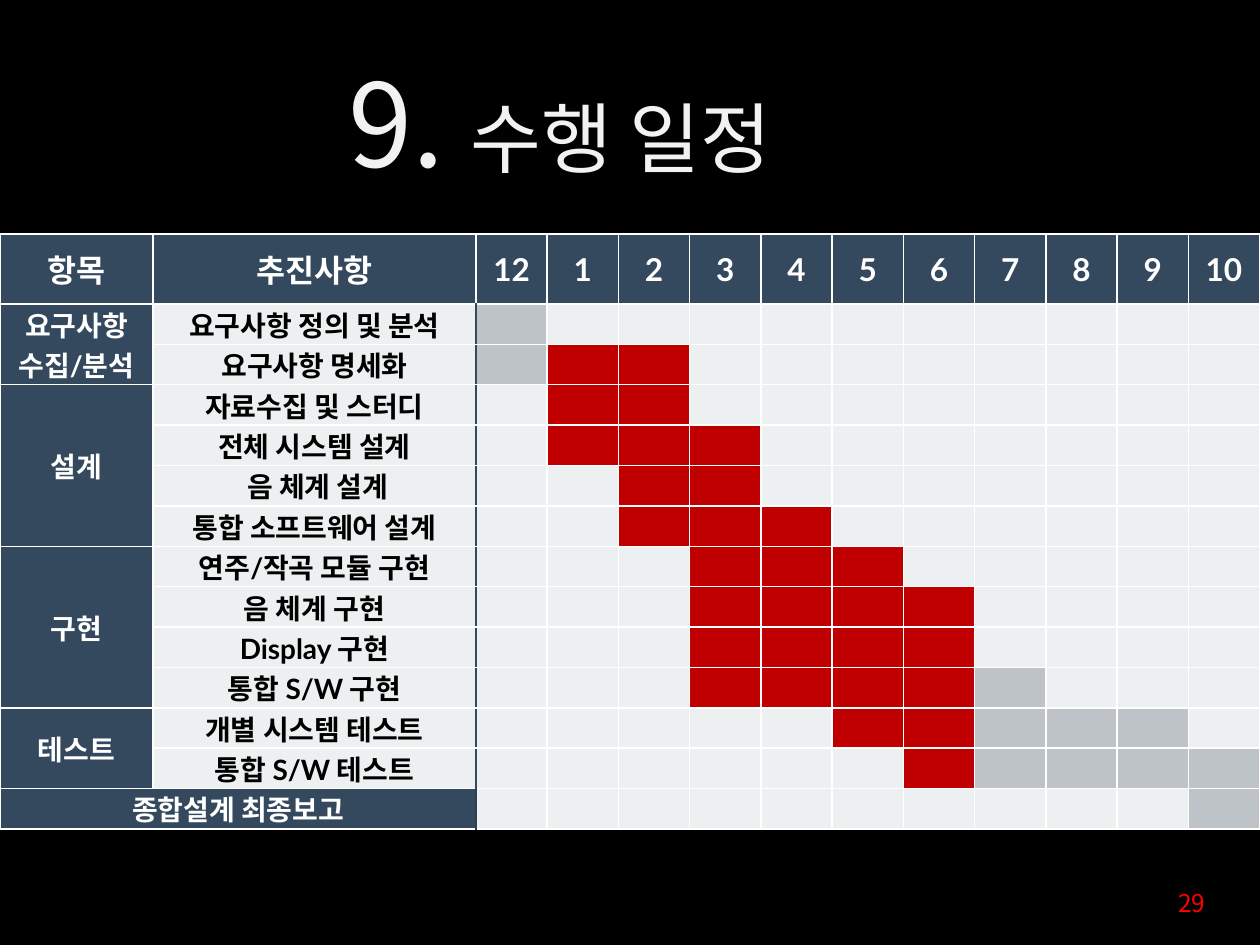
from dataclasses import dataclass

from lxml import etree
from pptx import Presentation
from pptx.dml.color import RGBColor
from pptx.enum.text import MSO_ANCHOR, MSO_AUTO_SIZE, PP_ALIGN
from pptx.oxml.ns import qn
from pptx.util import Emu, Pt

PX = 914400 / 126
TITLE_ONLY = 5
CENTER, RIGHT, LEFT = PP_ALIGN.CENTER, PP_ALIGN.RIGHT, PP_ALIGN.LEFT
TOP, MIDDLE = MSO_ANCHOR.TOP, MSO_ANCHOR.MIDDLE
NO_FIT = MSO_AUTO_SIZE.NONE


@dataclass(frozen=True)
class Theme:
    korean: str = "Noto Sans CJK KR"
    latin: str = "Lato"
    background: str = "000000"
    title: str = "F2F2F2"
    white: str = "FFFFFF"
    black: str = "000000"
    navy: str = "34495E"
    deep_navy: str = "2C3E50"
    pale: str = "ECF0F1"
    grey: str = "BDC3C7"
    red: str = "C00000"
    page: str = "FF0000"
    number_size: int = 66
    title_size: int = 44
    header_size: int = 18
    body_size: int = 16
    page_size: int = 14


THEME = Theme()
MONTHS = ["12", *map(str, range(1, 11))]
# One letter per month: g = grey, r = red, . = free
FILLS = {"g": THEME.grey, "r": THEME.red, ".": THEME.pale}
PHASES = [
    ("요구사항\n수집/분석", [("요구사항 정의 및 분석", "g.........."),
                        ("요구사항 명세화", "grr........")]),
    ("설계", [("자료수집 및 스터디", ".rr........"),
            ("전체 시스템 설계", ".rrr......."),
            (" 음 체계 설계", "..rr......."),
            ("통합 소프트웨어 설계", "..rrr......")]),
    ("구현", [("연주/작곡 모듈 구현", "...rrr....."),
            ("음 체계 구현", "...rrrr...."),
            ("Display 구현", "...rrrr...."),
            ("통합 S/W 구현", "...rrrrg...")]),
    ("테스트", [("개별 시스템 테스트", ".....rrggg."),
             ("통합 S/W 테스트", "......rgggg")]),
]
REPORT = ("종합설계 최종보고", "..........g")


def px(length):
    return Emu(round(length * PX))


def set_values(target, values):
    for key, value in values.items():
        setattr(target, key, value)


def add_run(paragraph, text, size, color, latin=THEME.korean, bold=False):
    run = paragraph.add_run()
    run.text = text
    set_values(run.font, {"size": Pt(size), "bold": bold, "name": latin})
    run.font.color.rgb = RGBColor.from_string(color)
    east_asian = etree.SubElement(run.font._element, qn("a:ea"))
    east_asian.set("typeface", THEME.korean)


def set_border(cell, **sides):
    """Draw the cell's four sides; each side given is (colour, points)."""
    properties = cell._tc.get_or_add_tcPr()
    for index, side in enumerate(("left", "top", "right", "bottom")):
        color, points = sides.get(side, (THEME.white, 1))
        line = etree.Element(qn(f"a:ln{side[0].upper()}"), w=str(Pt(points)))
        fill = etree.SubElement(line, qn("a:solidFill"))
        etree.SubElement(fill, qn("a:srgbClr"), val=color)
        properties.insert(index, line)


def style_cell(cell, fill, text="", size=THEME.body_size, color=THEME.white,
               latin=THEME.latin, **sides):
    set_values(cell, {"margin_left": px(1), "margin_right": px(1), "margin_top": 0,
                      "margin_bottom": 0, "vertical_anchor": MIDDLE})
    cell.fill.solid()
    cell.fill.fore_color.rgb = RGBColor.from_string(fill)
    set_border(cell, **sides)
    if not text:
        return
    for index, line in enumerate(text.split("\n")):
        frame = cell.text_frame
        paragraph = frame.add_paragraph() if index else frame.paragraphs[0]
        paragraph.alignment = CENTER
        add_run(paragraph, line, size, color, latin, bold=True)


def add_title(slide, left, top, width, height):
    title = slide.shapes.title
    set_values(title, {"left": px(left), "top": px(top),
                       "width": px(width), "height": px(height)})
    set_values(title.text_frame, {"word_wrap": False, "auto_size": NO_FIT,
                                  "vertical_anchor": MIDDLE})
    paragraph = title.text_frame.paragraphs[0]
    paragraph.alignment = LEFT
    add_run(paragraph, "9. ", THEME.number_size, THEME.title)
    add_run(paragraph, "수행 일정", THEME.title_size, THEME.title)


def add_month_cells(table, row, plan, **first_sides):
    for month, mark in enumerate(plan):
        sides = dict(first_sides) if month == 0 else {}
        if row == 1:
            sides["top"] = (THEME.white, 1.5)
        style_cell(table.cell(row, month + 2), FILLS[mark], **sides)


def add_schedule(slide, left, top, width, height):
    phase_width, task_width, header_height = 153, 323, 70
    task_count = sum(len(tasks) for _, tasks in PHASES)
    frame = slide.shapes.add_table(task_count + 2, len(MONTHS) + 2,
                                   px(left), px(top), px(width), px(height))
    table = frame.table
    set_values(table, {"first_row": False, "horz_banding": False})

    # Column and row sizes
    month_width = (width - phase_width - task_width) / len(MONTHS)
    for column, size in zip(table.columns,
                            [phase_width, task_width] + [month_width] * len(MONTHS)):
        column.width = px(size)
    row_height = (height - header_height) / (task_count + 1)
    for row, size in zip(table.rows, [header_height] + [row_height] * (task_count + 1)):
        row.height = px(size)

    # Header
    thick = (THEME.white, 1.5)
    for column, label in enumerate(["항목", "추진사항", *MONTHS]):
        style_cell(table.cell(0, column), THEME.navy, label, THEME.header_size,
                   latin=THEME.korean if column < 2 else THEME.latin, bottom=thick)

    # Phases with their tasks
    divider = (THEME.navy, 0.75)
    row = 1
    for phase, tasks in PHASES:
        top_side = {"top": thick} if row == 1 else {}
        phase_cell = table.cell(row, 0)
        phase_cell.merge(table.cell(row + len(tasks) - 1, 0))
        style_cell(phase_cell, THEME.navy, phase, **top_side)
        for task, plan in tasks:
            top_side = {"top": thick} if row == 1 else {}
            style_cell(table.cell(row, 1), THEME.pale, task, color=THEME.black,
                       right=divider, **top_side)
            add_month_cells(table, row, plan, left=divider)
            row += 1

    # Final report
    label, plan = REPORT
    edge = (THEME.deep_navy, 1.5)
    report_cell = table.cell(row, 0)
    report_cell.merge(table.cell(row, 1))
    style_cell(report_cell, THEME.navy, label, right=edge)
    add_month_cells(table, row, plan, left=edge)


def add_page_number(slide, left, top, width, height):
    frame = slide.shapes.add_textbox(px(left), px(top), px(width), px(height)).text_frame
    set_values(frame, {"word_wrap": True, "vertical_anchor": TOP})
    paragraph = frame.paragraphs[0]
    paragraph.alignment = RIGHT
    add_run(paragraph, "29", THEME.page_size, THEME.page)


def main():
    deck = Presentation()
    set_values(deck, {"slide_width": px(1260), "slide_height": px(945)})
    slide = deck.slides.add_slide(deck.slide_layouts[TITLE_ONLY])
    slide.background.fill.solid()
    slide.background.fill.fore_color.rgb = RGBColor.from_string(THEME.background)
    add_title(slide, 336, 45, 522, 152)
    add_schedule(slide, 0, 234, 1260, 586)
    add_page_number(slide, 924, 882, 294, 66)
    deck.save("out.pptx")


if __name__ == "__main__":
    main()
